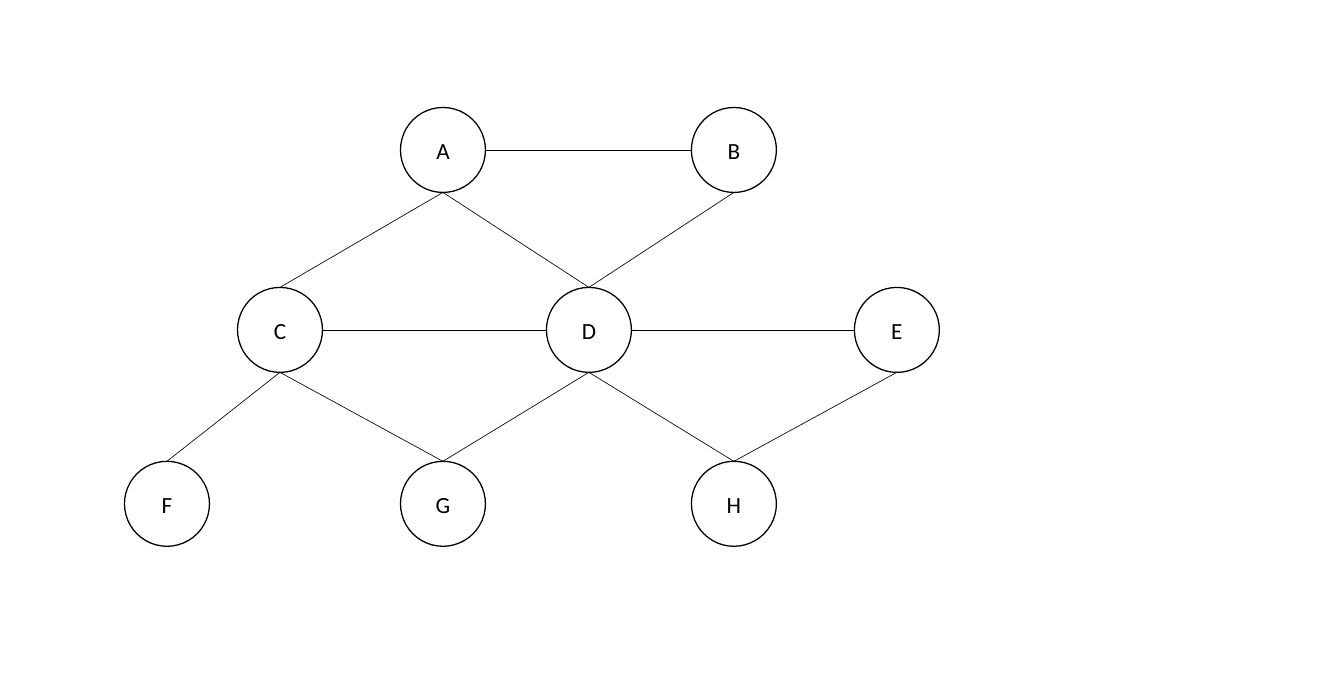
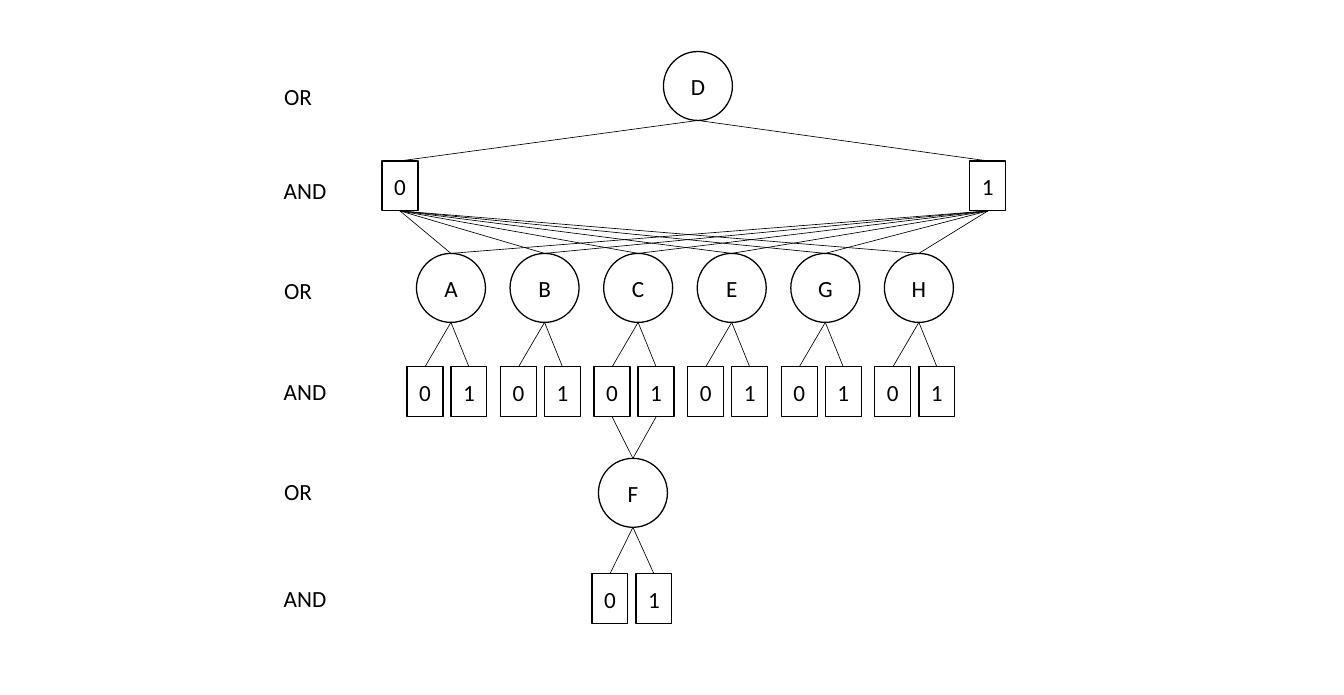
from pptx import Presentation
from pptx.dml.color import RGBColor
from pptx.enum.shapes import MSO_CONNECTOR, MSO_SHAPE
from pptx.enum.text import MSO_ANCHOR, MSO_AUTO_SIZE, PP_ALIGN
from pptx.oxml.ns import qn
from pptx.util import Inches, Pt
from lxml import etree

CIRCLE, BOX = MSO_SHAPE.OVAL, MSO_SHAPE.RECTANGLE
STRAIGHT = MSO_CONNECTOR.STRAIGHT
CENTER = PP_ALIGN.CENTER
MIDDLE, TOP_ANCHOR = MSO_ANCHOR.MIDDLE, MSO_ANCHOR.TOP
GROW = MSO_AUTO_SIZE.SHAPE_TO_FIT_TEXT

# Content: primal graph, as rows of nodes and the links between them
GRAPH_NODES = {
    150: {"A": 443, "B": 734},
    330: {"C": 280, "D": 589, "E": 897},
    504: {"F": 167, "G": 443, "H": 734},
}
GRAPH_LEVEL_LINKS = ["AB", "CD", "DE"]
GRAPH_DOWN_LINKS = ["AC", "AD", "BD", "CF", "CG", "DG", "DH", "EH"]

# Content: AND/OR search tree, from the root down
ROOT = "D"
VALUES = ["0", "1"]
BRANCHES = ["A", "B", "C", "E", "G", "H"]
EXPANDED, LEAF = "C", "F"
LEVELS = [("OR", 96), ("AND", 190), ("OR", 290),
          ("AND", 391), ("OR", 491), ("AND", 599)]

# Layout, in pixels
EMU_PER_PIXEL = 914400 / 92.7
GRAPH_CIRCLE = (85, 85)
TREE_CIRCLE = (69, 69)
VALUE_BOX = (36, 50)
LEVEL_SIZES = {"OR": (48, 37), "AND": (69, 37)}
LEVEL_CENTERS = {"OR": 298, "AND": 305}
ROOT_AT = (698, 86)
ROOT_VALUES_X, ROOT_VALUES_Y = (400, 988), 186
BRANCH_FIRST, BRANCH_LAST, BRANCH_Y = 451, 919, 288
BRANCH_VALUES_Y, BRANCH_VALUES_SHIFT = 392, -4
LEAF_AT = (633, 493)
LEAF_VALUES_Y, LEAF_VALUES_SHIFT = 599, -1
VALUE_PITCH = 44

# Shared style
COLORS = {"ink": "000000", "paper": "FFFFFF"}
FONT = {"name": "Calibri", "size": Pt(18)}
OUTLINE, LINK = Pt(1), Pt(0.5)
NODE_FRAME = {"vertical_anchor": MIDDLE, "word_wrap": True}
LEVEL_FRAME = {"vertical_anchor": TOP_ANCHOR, "word_wrap": True, "auto_size": GROW}
SIDES = {"top": (0.5, 0), "bottom": (0.5, 1), "left": (0, 0.5), "right": (1, 0.5)}


def color(key):
    """Return the shared colour with this name."""
    return RGBColor.from_string(COLORS[key])


def apply(target, values):
    """Set each format value on the target."""
    for attribute, value in values.items():
        setattr(target, attribute, value)


def area(center, size):
    """Turn a centre and a size in pixels into left, top, width, height in EMU."""
    corner = [middle - length / 2 for middle, length in zip(center, size)]
    return [round(pixels * EMU_PER_PIXEL) for pixels in (*corner, *size)]


def write(shape, text, frame_format):
    """Write one centred line in the shared font."""
    frame = shape.text_frame
    apply(frame, frame_format)
    paragraph = frame.paragraphs[0]
    paragraph.alignment = CENTER
    run = paragraph.add_run()
    run.text = text
    apply(run.font, FONT)
    run.font.color.rgb = color("ink")


def add_node(slide, outline, text, center, size):
    """Add an outlined node around its centre."""
    node = slide.shapes.add_shape(outline, *area(center, size))
    node.shadow.inherit = False
    node.fill.solid()
    node.fill.fore_color.rgb = color("paper")
    node.line.color.rgb = color("ink")
    node.line.width = OUTLINE
    write(node, text, NODE_FRAME)
    return node


def side_point(node, side):
    """Return the middle of one side of a node."""
    across, down = SIDES[side]
    return (round(node.left + across * node.width),
            round(node.top + down * node.height))


def link(slide, start, end, start_side="bottom", end_side="top"):
    """Join two nodes with a thin line."""
    line = slide.shapes.add_connector(
        STRAIGHT, *side_point(start, start_side), *side_point(end, end_side))
    line.line.color.rgb = color("ink")
    line.line.width = LINK
    etree.SubElement(line._element.spPr, qn("a:effectLst"))


def add_values(slide, parent, centers, y):
    """Add the value boxes below a variable and link them to it."""
    boxes = [add_node(slide, BOX, value, (x, y), VALUE_BOX)
             for value, x in zip(VALUES, centers)]
    for box in boxes:
        link(slide, parent, box)
    return boxes


def pair(center):
    """Return the centres of two value boxes side by side."""
    return center - VALUE_PITCH / 2, center + VALUE_PITCH / 2


def build_graph(slide):
    """Draw the graph of variables."""
    nodes = {name: add_node(slide, CIRCLE, name, (x, y), GRAPH_CIRCLE)
             for y, row in GRAPH_NODES.items() for name, x in row.items()}
    for start, end in GRAPH_LEVEL_LINKS:
        link(slide, nodes[start], nodes[end], "right", "left")
    for start, end in GRAPH_DOWN_LINKS:
        link(slide, nodes[start], nodes[end])


def build_tree(slide):
    """Draw the search tree with its level names."""
    root = add_node(slide, CIRCLE, ROOT, ROOT_AT, TREE_CIRCLE)
    root_values = add_values(slide, root, ROOT_VALUES_X, ROOT_VALUES_Y)
    leaf = add_node(slide, CIRCLE, LEAF, LEAF_AT, TREE_CIRCLE)
    add_values(slide, leaf, pair(LEAF_AT[0] + LEAF_VALUES_SHIFT), LEAF_VALUES_Y)

    pitch = (BRANCH_LAST - BRANCH_FIRST) / (len(BRANCHES) - 1)
    for index, name in enumerate(BRANCHES):
        x = BRANCH_FIRST + index * pitch
        branch = add_node(slide, CIRCLE, name, (x, BRANCH_Y), TREE_CIRCLE)
        for root_value in root_values:
            link(slide, root_value, branch)
        values = add_values(slide, branch, pair(x + BRANCH_VALUES_SHIFT), BRANCH_VALUES_Y)
        if name == EXPANDED:
            for value in values:
                link(slide, value, leaf)

    for level, y in LEVELS:
        center = (LEVEL_CENTERS[level], y)
        label = slide.shapes.add_textbox(*area(center, LEVEL_SIZES[level]))
        write(label, level, LEVEL_FRAME)


deck = Presentation()
apply(deck, {"slide_width": Inches(14.5), "slide_height": Inches(7.5)})
blank = deck.slide_layouts[6]
for build in (build_graph, build_tree):
    build(deck.slides.add_slide(blank))
deck.save("out.pptx")
